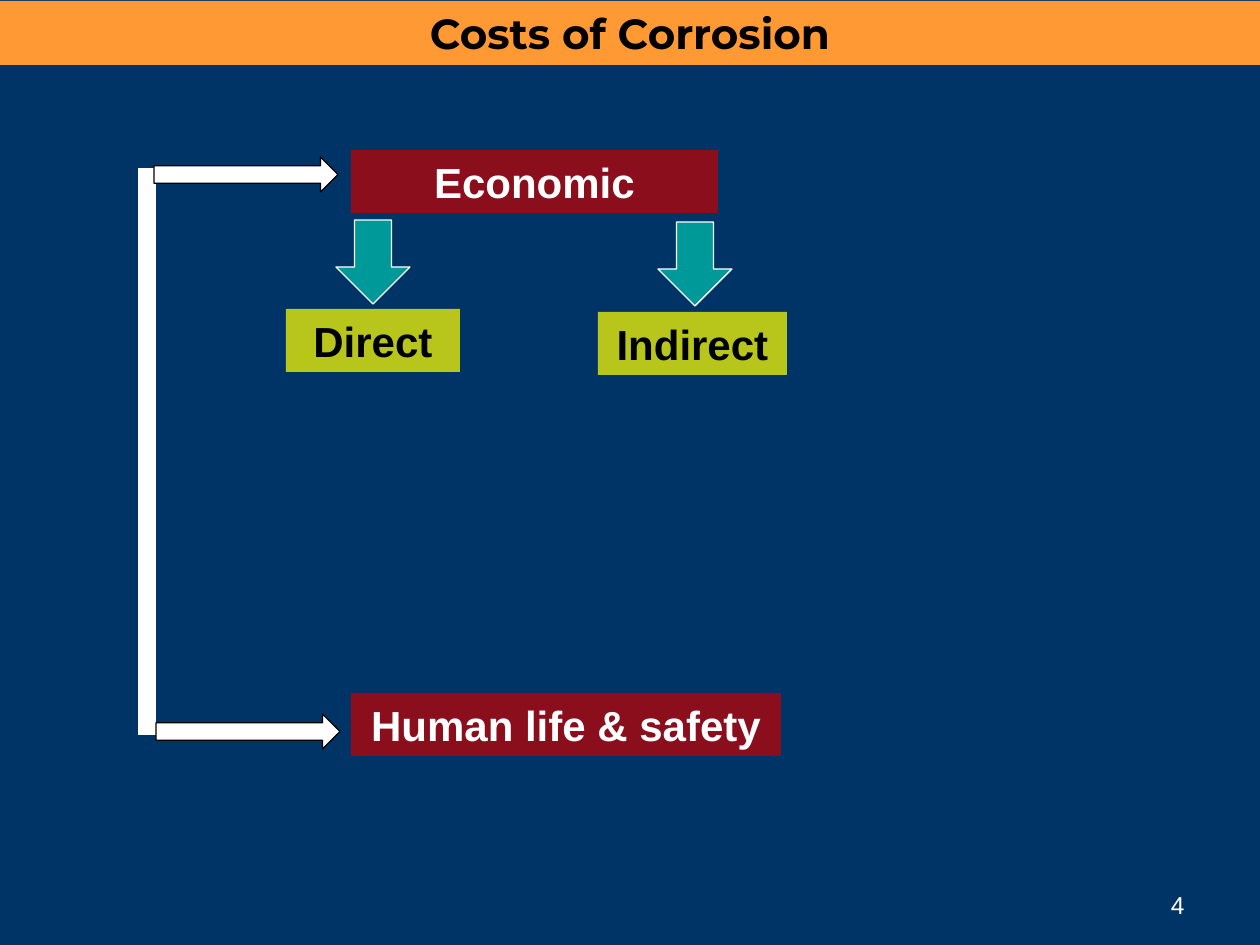
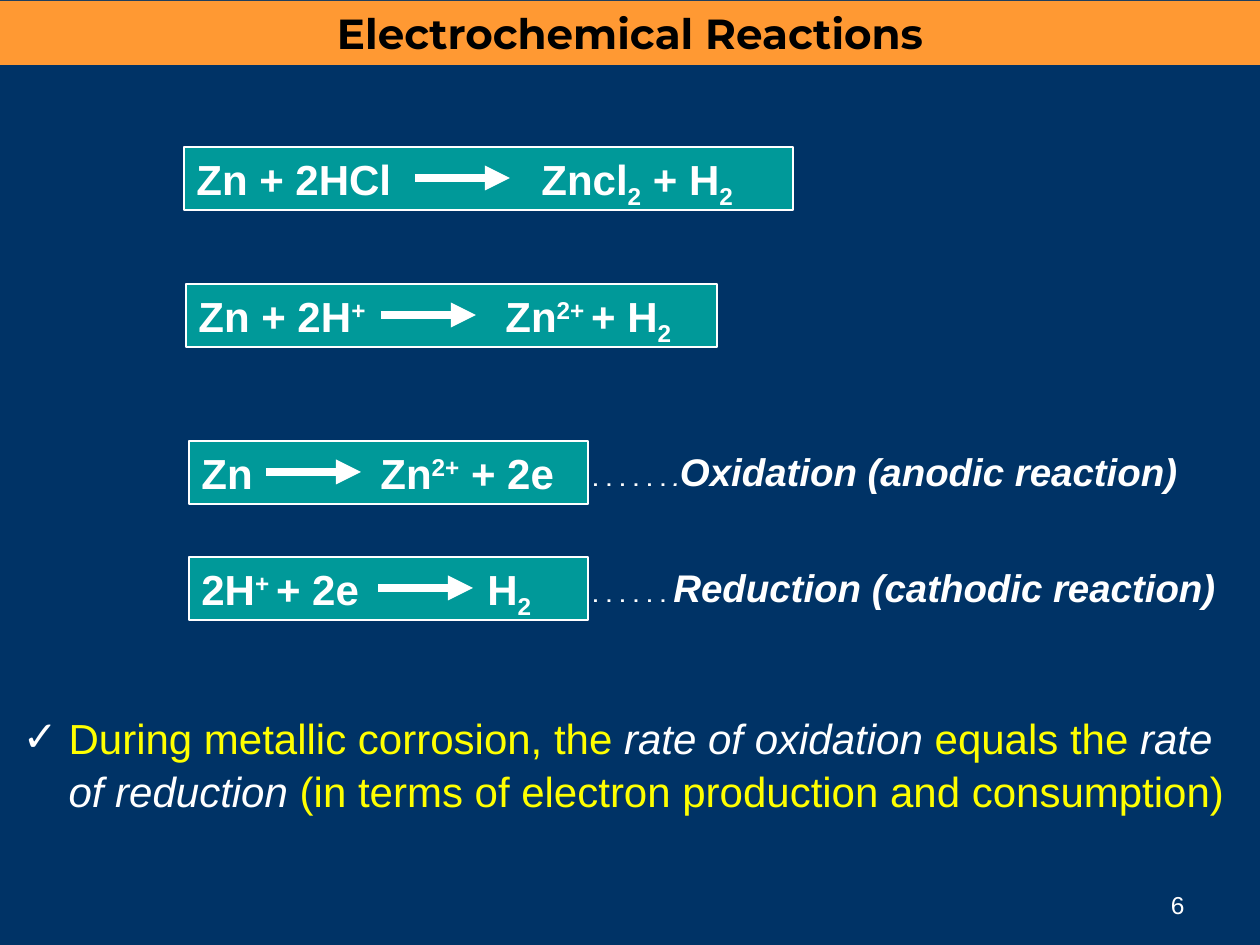
from typing import NamedTuple

from lxml import etree
from pptx import Presentation
from pptx.dml.color import RGBColor
from pptx.enum.shapes import MSO_CONNECTOR, MSO_SHAPE
from pptx.enum.text import MSO_ANCHOR, MSO_AUTO_SIZE, PP_ALIGN
from pptx.oxml.ns import qn
from pptx.util import Emu, Pt

RECT, RIGHT_ARROW, DOWN_ARROW = MSO_SHAPE.RECTANGLE, MSO_SHAPE.RIGHT_ARROW, MSO_SHAPE.DOWN_ARROW
STRAIGHT = MSO_CONNECTOR.STRAIGHT
TOP, MIDDLE, BOTTOM = MSO_ANCHOR.TOP, MSO_ANCHOR.MIDDLE, MSO_ANCHOR.BOTTOM
LEFT, CENTER, RIGHT = PP_ALIGN.LEFT, PP_ALIGN.CENTER, PP_ALIGN.RIGHT
NO_AUTOFIT = MSO_AUTO_SIZE.NONE

NAVY = RGBColor(0x00, 0x33, 0x66)
ORANGE = RGBColor(0xFF, 0x99, 0x33)
TEAL = RGBColor(0x00, 0x99, 0x99)
RED = RGBColor(0xC0, 0x00, 0x00)
YELLOW = RGBColor(0xFF, 0xFF, 0x00)
WHITE = RGBColor(0xFF, 0xFF, 0xFF)
BLACK = RGBColor(0x00, 0x00, 0x00)

PX_PER_INCH = 126
SLIDE_W, SLIDE_H = 1260, 945
BOX_H = 63
INSET = 13
ARROW_LEN = 95
LAYOUT_BODY, LAYOUT_TITLE_ONLY = 1, 5
SUB, SUP = -25000, 30000


class Piece(NamedTuple):
    """A stretch of text in one format."""
    text: str
    base: int = 0
    size: int = 24
    font: str = "Arial"
    color: RGBColor = WHITE
    bold: bool = False
    italic: bool = False


class Label(NamedTuple):
    """A translucent box of the cost tree."""
    text: str
    x: int
    y: int
    w: int
    fill: RGBColor
    color: RGBColor


class BlockArrow(NamedTuple):
    kind: int
    x: int
    y: int
    w: int
    h: int
    fill: RGBColor
    line: RGBColor


class Reaction(NamedTuple):
    """Reactants, an arrow, then products that start at a tab stop."""
    x: int
    y: int
    w: int
    arrow_x: int
    product_x: int
    formula: list[tuple[str, int]]
    note: list[Piece]


def px(n: int) -> Emu:
    return Emu(round(n * 914400 / PX_PER_INCH))


def box(*lengths: int) -> list[Emu]:
    return [px(n) for n in lengths]


def add_pieces(p, pieces: list[Piece]) -> None:
    for piece in pieces:
        r = p.add_run()
        r.text = piece.text
        f = r.font
        f.size, f.name = Pt(piece.size), piece.font
        f.bold, f.italic = piece.bold, piece.italic
        f.color.rgb = piece.color
        if piece.base:
            r._r.get_or_add_rPr().set("baseline", str(piece.base))


def fill_text(shape, pieces: list[Piece], align=LEFT, anchor=TOP):
    tf = shape.text_frame
    tf.word_wrap = True
    tf.auto_size = NO_AUTOFIT
    tf.vertical_anchor = anchor
    p = tf.paragraphs[0]
    p.alignment = align
    add_pieces(p, pieces)
    return p


def add_filled(s, kind, bounds: tuple[int, int, int, int], fill: RGBColor, line=None):
    sp = s.shapes.add_shape(kind, *box(*bounds))
    sp.shadow.inherit = False
    sp.fill.solid()
    sp.fill.fore_color.rgb = fill
    if line is None:
        sp.line.fill.background()
    else:
        sp.line.color.rgb = line
        sp.line.width = Pt(0.75)
    return sp


def add_text(s, bounds: tuple[int, int, int, int], pieces: list[Piece], align=LEFT, anchor=TOP) -> None:
    fill_text(s.shapes.add_textbox(*box(*bounds)), pieces, align, anchor)


def add_line(s, x1: int, y1: int, x2: int, y2: int, width: float, arrow: bool = False) -> None:
    line = s.shapes.add_connector(STRAIGHT, *box(x1, y1, x2, y2))
    line.line.color.rgb = WHITE
    line.line.width = Pt(width)
    spPr = line._element.spPr
    if arrow:
        etree.SubElement(spPr.find(qn("a:ln")), qn("a:tailEnd"), type="triangle")
    etree.SubElement(spPr, qn("a:effectLst"))


def add_slide(prs, layout: int, title: str, number: int):
    """Navy slide with the orange title band and its page number."""
    s = prs.slides.add_slide(prs.slide_layouts[layout])
    s.background.fill.solid()
    s.background.fill.fore_color.rgb = NAVY
    band = s.shapes.title
    band.left, band.top, band.width, band.height = box(0, 1, SLIDE_W, 64)
    band.fill.solid()
    band.fill.fore_color.rgb = ORANGE
    fill_text(band, [Piece(title, font="Montserrat", color=BLACK, bold=True)], CENTER, MIDDLE)
    add_text(s, (903, 861, 294, 65), [Piece(str(number), size=14)], RIGHT, BOTTOM)
    return s


def add_label(s, label: Label) -> None:
    sp = add_filled(s, RECT, (label.x, label.y, label.w, BOX_H), label.fill)
    color = sp._element.spPr.find(qn("a:solidFill"))[0]
    etree.SubElement(color, qn("a:alpha"), val="72000")
    fill_text(sp, [Piece(label.text, color=label.color, bold=True)], CENTER, MIDDLE)


def add_reaction(s, reaction: Reaction) -> None:
    x, y = reaction.x, reaction.y
    sp = add_filled(s, RECT, (x, y, reaction.w, BOX_H), TEAL, WHITE)
    p = fill_text(sp, [Piece(text, base, bold=True) for text, base in reaction.formula])
    tabs = etree.SubElement(p._p.get_or_add_pPr(), qn("a:tabLst"))
    stop = px(reaction.product_x - x - INSET)
    etree.SubElement(tabs, qn("a:tab"), pos=str(stop), algn="l")
    mid = y + BOX_H // 2
    add_line(s, reaction.arrow_x, mid, reaction.arrow_x + ARROW_LEN, mid, 4.75, arrow=True)
    if reaction.note:
        add_text(s, (580, y + 1, 670, 59), reaction.note)


def build_costs(prs) -> None:
    s = add_slide(prs, LAYOUT_TITLE_ONLY, "Costs of Corrosion", 4)
    # Trunk that joins the two kinds of cost
    add_line(s, 147, 168, 147, 735, 9.75)
    for arrow in (
        BlockArrow(RIGHT_ARROW, 154, 157, 184, 35, WHITE, BLACK),
        BlockArrow(RIGHT_ARROW, 156, 714, 184, 35, WHITE, BLACK),
        BlockArrow(DOWN_ARROW, 336, 220, 74, 84, TEAL, WHITE),
        BlockArrow(DOWN_ARROW, 658, 222, 74, 84, TEAL, WHITE),
    ):
        add_filled(s, arrow.kind, (arrow.x, arrow.y, arrow.w, arrow.h), arrow.fill, arrow.line)
    for label in (
        Label("Economic", 351, 150, 367, RED, WHITE),
        Label("Human life & safety", 351, 693, 430, RED, WHITE),
        Label("Direct", 286, 309, 174, YELLOW, BLACK),
        Label("Indirect", 598, 312, 189, YELLOW, BLACK),
    ):
        add_label(s, label)


def build_reactions(prs) -> None:
    s = add_slide(prs, LAYOUT_BODY, "Electrochemical Reactions", 6)
    dots = Piece(". . . . . . ", size=18, font="Cabin")
    name = Piece("", size=22, bold=True, italic=True)
    oxidation = [dots, dots._replace(text=".", italic=True),
                 name._replace(text="Oxidation (anodic reaction)")]
    reduction = [dots, name._replace(text="Reduction (cathodic reaction)")]
    for reaction in (
        Reaction(184, 147, 609, 415, 542,
                 [("Zn + 2HCl\tZncl", 0), ("2", SUB), (" + H", 0), ("2", SUB)], []),
        Reaction(186, 284, 531, 381, 506,
                 [("Zn + 2H", 0), ("+", SUP), ("\tZn", 0), ("2+ ", SUP), ("+ H", 0), ("2", SUB)], []),
        Reaction(189, 441, 399, 266, 381,
                 [("Zn\tZn", 0), ("2+", SUP), (" + 2e", 0)], oxidation),
        Reaction(189, 557, 399, 378, 488,
                 [("2H", 0), ("+ ", SUP), ("+ 2e\tH", 0), ("2", SUB)], reduction),
    ):
        add_reaction(s, reaction)

    # Closing statement with a check mark
    body = s.placeholders[1]
    body.left, body.top, body.width, body.height = box(10, 703, 1240, 149)
    p = fill_text(body, [
        Piece("During metallic corrosion, the ", color=YELLOW),
        Piece("rate of oxidation ", italic=True),
        Piece("equals the ", color=YELLOW),
        Piece("rate of reduction", italic=True),
        Piece(" (in terms of electron production and consumption)", color=YELLOW),
    ])
    p.line_spacing = 1.06
    p.space_before = Pt(0)
    pPr = p._p.get_or_add_pPr()
    pPr.set("marL", str(px(46)))
    pPr.set("indent", str(-px(46)))
    bullet_color = etree.SubElement(pPr, qn("a:buClr"))
    etree.SubElement(bullet_color, qn("a:srgbClr"), val=str(WHITE))
    etree.SubElement(pPr, qn("a:buChar"), char="✓")


def main() -> None:
    prs = Presentation()
    prs.slide_width, prs.slide_height = box(SLIDE_W, SLIDE_H)
    build_costs(prs)
    build_reactions(prs)
    prs.save("out.pptx")


if __name__ == "__main__":
    main()
